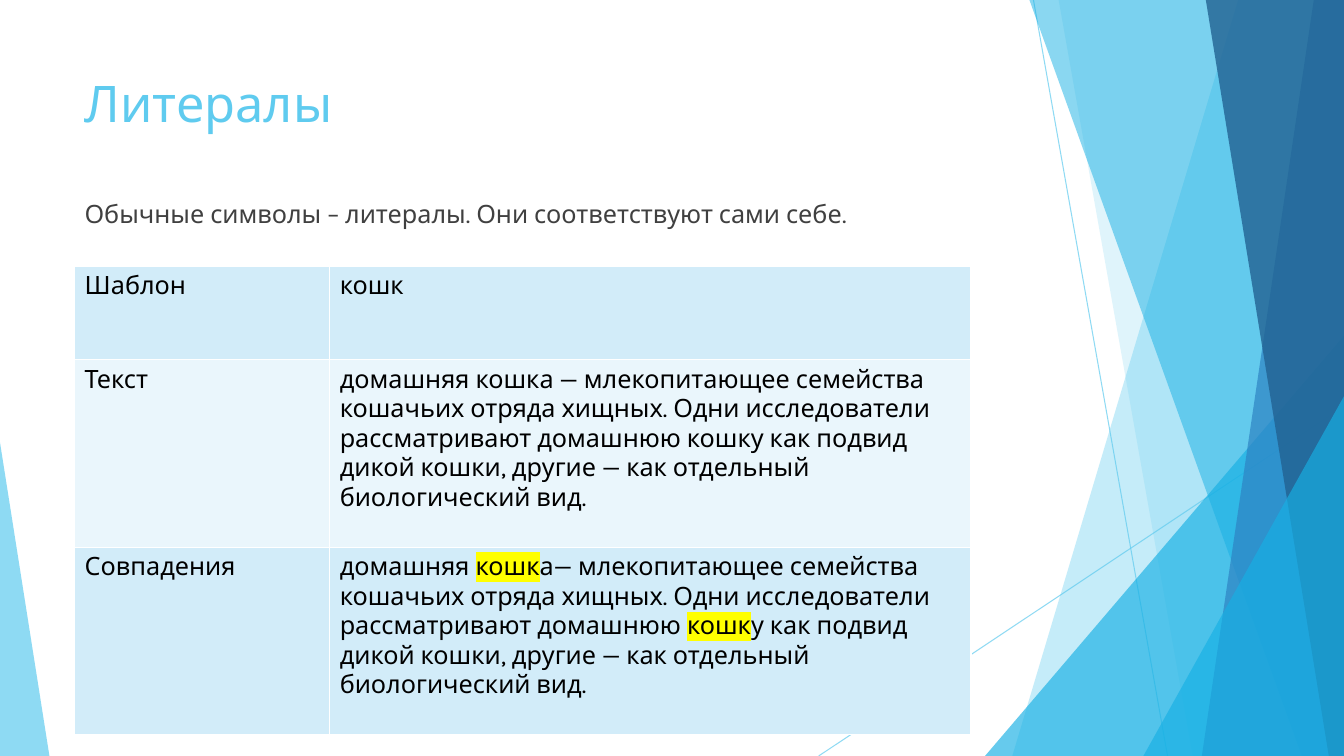
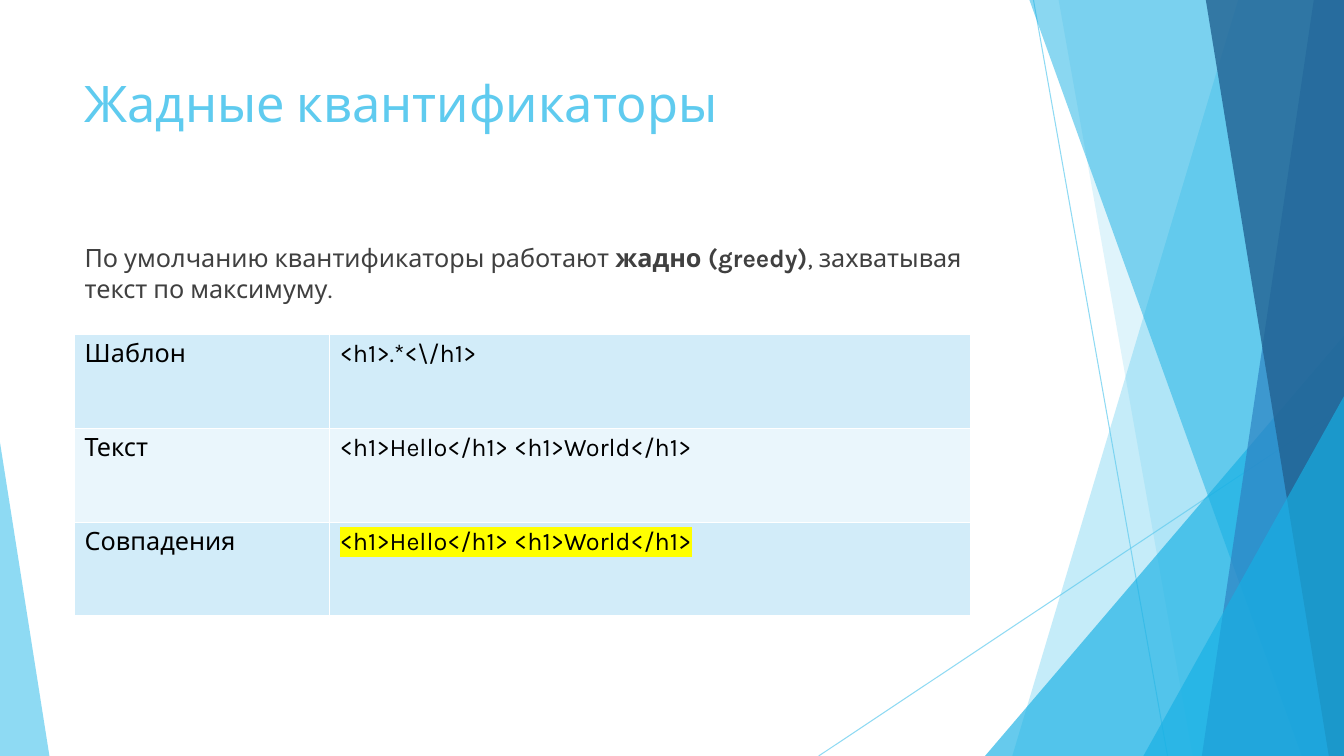
from pptx import Presentation
from pptx.dml.color import RGBColor
from pptx.enum.shapes import MSO_CONNECTOR as LINE, MSO_SHAPE as SHAPE
from pptx.enum.text import MSO_ANCHOR as ANCHOR, PP_ALIGN as ALIGN
from pptx.oxml.ns import qn
from pptx.util import Inches, Pt
from lxml.etree import SubElement

SKY = RGBColor(0x5F, 0xCB, 0xEF)
CYAN = RGBColor(0x17, 0xB0, 0xE4)
BLUE = RGBColor(0x2E, 0x83, 0xC3)
NAVY = RGBColor(0x22, 0x62, 0x92)
GREY = RGBColor(0x40, 0x40, 0x40)
BLACK = RGBColor(0, 0, 0)
ROW_FILLS = (RGBColor(0xD2, 0xEC, 0xF9), RGBColor(0xEA, 0xF6, 0xFC))
WIDTH, HEIGHT = 13.33, 7.5
LEFT, TEXT_WIDTH = 0.74, 9.4
COLUMNS = (2.53, 6.36)
ROW = 0.93
LABELS = ("Шаблон", "Текст", "Совпадения")


def set_alpha(sp, percent):
    """Make the shape's own colour translucent."""
    for clr in sp._element.iter(qn("a:srgbClr")):
        SubElement(clr, qn("a:alpha")).set("val", str(percent * 1000))


def highlight(r):
    """Put a yellow marker behind a run."""
    mark = SubElement(r._r.get_or_add_rPr(), qn("a:highlight"))
    SubElement(mark, qn("a:srgbClr")).set("val", "FFFF00")


def embolden(r):
    """Make a run bold."""
    r.font.bold = True


def white_borders(cell):
    """Give a cell thin white borders on all sides."""
    tcPr = cell._tc.get_or_add_tcPr()
    for side in ("a:lnL", "a:lnR", "a:lnT", "a:lnB"):
        ln = SubElement(tcPr, qn(side), w=str(Pt(1)))
        SubElement(SubElement(ln, qn("a:solidFill")), qn("a:srgbClr")).set("val", "FFFFFF")


class Deck:
    """Holds the shared style and the current slide."""

    font = "Karla"

    def __init__(self):
        self.prs = Presentation()
        self.prs.slide_width, self.prs.slide_height = Inches(WIDTH), Inches(HEIGHT)

    def slide(self, title):
        """Start a slide with the facets and a title."""
        self.s = self.prs.slides.add_slide(self.prs.slide_layouts[5])
        self.facets()
        sp = self.s.shapes.title
        self.place(sp, 0.67, 1.44)
        self.add_runs(sp.text_frame.paragraphs[0], title, 36, SKY)

    def place(self, sp, top, height):
        """Set a text shape in the content column, anchored to its top."""
        sp.left, sp.top = Inches(LEFT), Inches(top)
        sp.width, sp.height = Inches(TEXT_WIDTH), Inches(height)
        sp.text_frame.word_wrap = True
        sp.text_frame.vertical_anchor = ANCHOR.TOP

    def add_runs(self, p, text, size, color, emphasis=highlight):
        """Add runs; parts between bars get the emphasis."""
        p.alignment = ALIGN.LEFT
        for i, part in enumerate(text.split("|")):
            if not part:
                continue
            r = p.add_run()
            r.text = part
            r.font.size = Pt(size)
            r.font.color.rgb = color
            if i % 2:
                emphasis(r)
            r.font.name = self.font

    def lead(self, text, top):
        """Add the introductory paragraph."""
        sp = self.s.shapes.add_textbox(0, 0, 0, 0)
        self.place(sp, top, 4.24)
        p = sp.text_frame.paragraphs[0]
        p.space_before = Pt(10)
        self.add_runs(p, text, 18, GREY, embolden)

    def table(self, top, values, heights=(ROW, ROW, ROW)):
        """Add the pattern, text and matches table."""
        table = self.s.shapes.add_table(
            len(LABELS), len(COLUMNS), Inches(LEFT), Inches(top),
            Inches(sum(COLUMNS)), Inches(sum(heights))).table
        table.first_row = table.horz_banding = False
        for column, width in zip(table.columns, COLUMNS):
            column.width = Inches(width)
        for i, texts in enumerate(zip(LABELS, values)):
            table.rows[i].height = Inches(heights[i])
            for cell, text in zip(table.rows[i].cells, texts):
                white_borders(cell)
                cell.fill.solid()
                cell.fill.fore_color.rgb = ROW_FILLS[i % 2]
                self.add_runs(cell.text_frame.paragraphs[0], text, 18, BLACK)

    def paint(self, sp, color, alpha):
        """Fill a facet with a translucent colour."""
        sp.shadow.inherit = False
        sp.fill.solid()
        sp.fill.fore_color.rgb = color
        sp.line.fill.background()
        set_alpha(sp, alpha)

    def line(self, x1, y1, x2, y2):
        """Draw a thin translucent line."""
        cn = self.s.shapes.add_connector(LINE.STRAIGHT, *map(Inches, (x1, y1, x2, y2)))
        cn.line.color.rgb = SKY
        cn.line.width = Pt(0.75)
        set_alpha(cn, 70)
        SubElement(cn._element.spPr, qn("a:effectLst"))

    def band(self, top_x, bottom_x, color, alpha):
        """Draw a full-height band from a slanted edge to the right side."""
        fb = self.s.shapes.build_freeform(Inches(top_x), 0)
        fb.add_line_segments([(Inches(x), Inches(y)) for x, y in (
            (WIDTH, 0), (WIDTH, HEIGHT), (bottom_x, HEIGHT))])
        self.paint(fb.convert_to_shape(), color, alpha)

    def corner(self, left, top, width, peak, color, alpha):
        """Draw a right triangle standing on the bottom edge."""
        sp = self.s.shapes.add_shape(SHAPE.ISOSCELES_TRIANGLE, *map(
            Inches, (left, top, width, HEIGHT - top)))
        sp.adjustments[0] = peak
        self.paint(sp, color, alpha)

    def facets(self):
        """Draw the decoration shared by all slides."""
        self.line(10.25, 0, 11.58, HEIGHT)
        self.line(WIDTH, 4.03, 8.12, HEIGHT)
        self.band(12.28, 10.04, SKY, 36)
        self.band(10.5, 11.83, SKY, 20)
        self.corner(9.77, 3.33, 3.56, 1, CYAN, 66)
        self.band(10.21, 12.91, CYAN, 50)
        self.band(13.03, 11.92, BLUE, 70)
        self.band(11.96, 13.18, NAVY, 80)
        self.corner(11.34, 3.93, 1.99, 1, CYAN, 66)
        self.corner(0, 4.39, 0.49, 0, SKY, 70)


deck = Deck()

deck.slide("Литералы")
deck.lead("Обычные символы – литералы. Они соответствуют сами себе.", 1.92)
deck.table(2.64, (
    "кошк",
    "домашняя кошка — млекопитающее семейства кошачьих отряда хищных. "
    "Одни исследователи рассматривают домашнюю кошку как подвид дикой кошки, "
    "другие — как отдельный биологический вид.",
    "домашняя |кошк|а— млекопитающее семейства кошачьих отряда хищных. "
    "Одни исследователи рассматривают домашнюю |кошк|у как подвид дикой кошки, "
    "другие — как отдельный биологический вид.",
), (ROW, 2 * ROW, 2 * ROW))

deck.slide("Жадные квантификаторы")
deck.lead("По умолчанию квантификаторы работают |жадно (greedy)|, "
          "захватывая текст по максимуму.", 2.36)
deck.table(3.32, (
    r"<h1>.*<\/h1>",
    "<h1>Hello</h1> <h1>World</h1>",
    "|<h1>Hello</h1> <h1>World</h1>|",
))

deck.prs.save("out.pptx")
